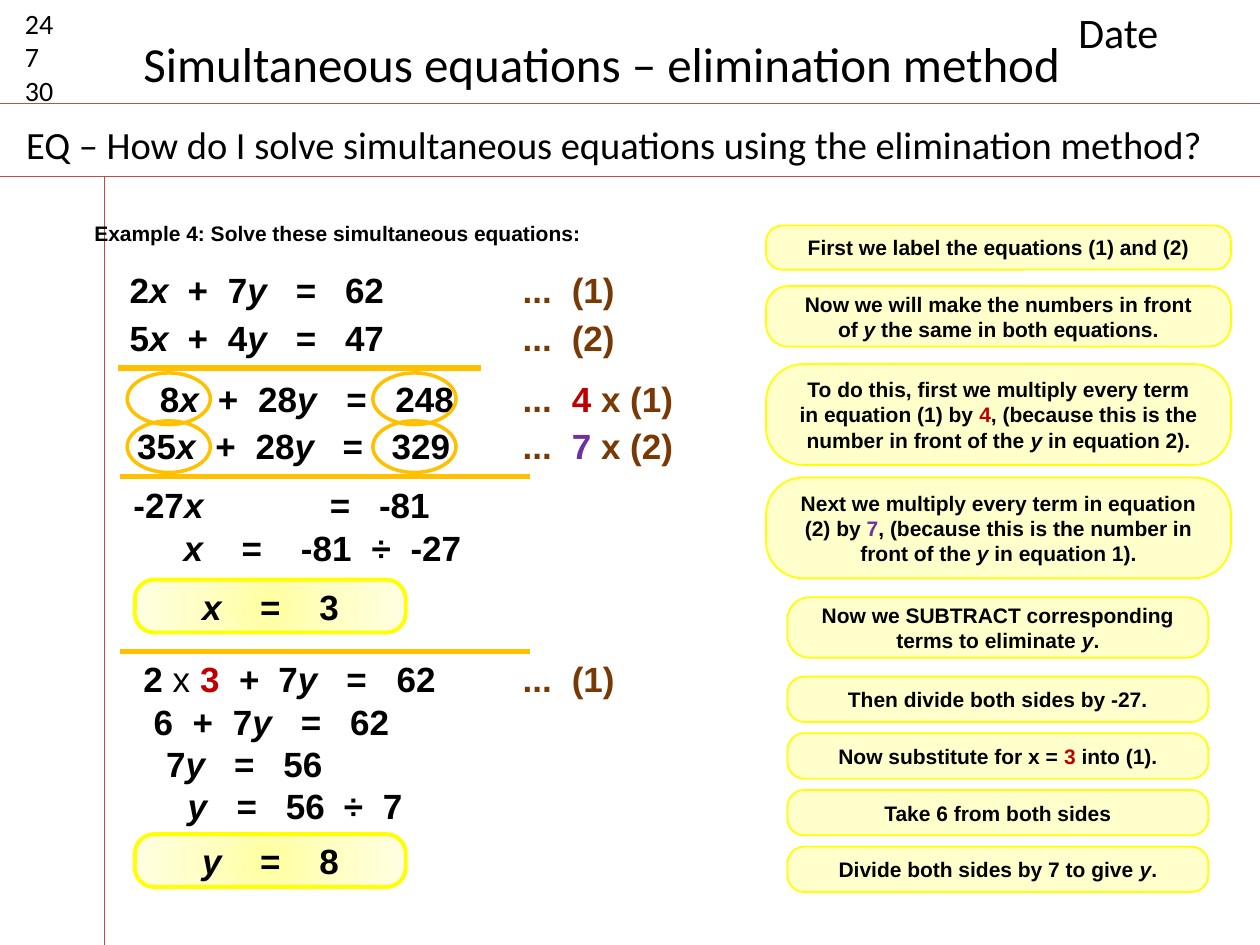
from dataclasses import dataclass
from itertools import product

from lxml import etree
from pptx import Presentation
from pptx.dml.color import RGBColor
from pptx.enum.shapes import MSO_CONNECTOR, MSO_SHAPE
from pptx.enum.text import MSO_ANCHOR, PP_ALIGN
from pptx.oxml import parse_xml
from pptx.oxml.ns import nsdecls, qn
from pptx.util import Pt

STRAIGHT = MSO_CONNECTOR.STRAIGHT
ROUNDED, OVAL = MSO_SHAPE.ROUNDED_RECTANGLE, MSO_SHAPE.OVAL
LEFT, CENTER = PP_ALIGN.LEFT, PP_ALIGN.CENTER
MIDDLE = MSO_ANCHOR.MIDDLE
SCALE = 9144
CORNER = 0.366
CORNER_INSET = 0.29 * CORNER


@dataclass(frozen=True)
class Theme:
    black: str = "000000"
    margin_red: str = "BF4C48"
    amber: str = "FFC000"
    yellow: str = "FFFF00"
    cream: str = "FFFFCC"
    brown: str = "793905"
    red: str = "C00000"
    violet: str = "7030A0"
    glow: tuple = ((0, "FFFFA0"), (50, "FFFFC5"), (100, "FFFFE3"))
    heading_font: str = "Calibri"
    body_font: str = "Arial"
    title: int = 28
    date: int = 24
    question: int = 22
    tally: int = 16
    equation: int = 20
    note: int = 12


THEME = Theme()
X, Y = ("x", "italic"), ("y", "italic")
FOUR, SEVEN, THREE = ("4", "red"), ("7", "violet"), ("3", "red")


def px(value):
    return round(value * SCALE)


def rgb(value):
    return RGBColor.from_string(value)


def write(para, spans, size, font=THEME.body_font, color=THEME.black, bold=True, align=LEFT, stops=()):
    para.alignment = align
    if stops:
        tabs = etree.SubElement(para._p.get_or_add_pPr(), qn("a:tabLst"))
        for stop in stops:
            etree.SubElement(tabs, qn("a:tab"), pos=str(px(stop)), algn="l")
    for item in spans:
        text, style = (item, "") if isinstance(item, str) else item
        span = para.add_run()
        span.text = text
        span.font.name = font
        span.font.size = Pt(size)
        span.font.bold = bold and style != "light"
        span.font.italic = style == "italic"
        span.font.color.rgb = rgb(getattr(THEME, style, color))


def text_box(page, box, lines, size, wrap=True, **format):
    frame = page.shapes.add_textbox(*map(px, box)).text_frame
    frame.word_wrap = wrap
    for index, spans in enumerate(lines):
        para = frame.add_paragraph() if index else frame.paragraphs[0]
        write(para, spans, size, **format)


def rule(page, start, end, color, width):
    line = page.shapes.add_connector(STRAIGHT, *map(px, start + end))
    line.line.color.rgb = rgb(color)
    line.line.width = Pt(width)
    etree.SubElement(line._element.spPr, qn("a:effectLst"))


def outlined(page, kind, box, color, width):
    shape = page.shapes.add_shape(kind, *map(px, box))
    shape.shadow.inherit = False
    shape.fill.background()
    shape.line.color.rgb = rgb(color)
    shape.line.width = Pt(width)
    return shape


def bubble(page, box, line_width, margins, spans, size, **format):
    shape = outlined(page, ROUNDED, box, THEME.yellow, line_width)
    shape.adjustments[0] = CORNER
    frame = shape.text_frame
    frame.word_wrap = True
    frame.vertical_anchor = MIDDLE
    frame.margin_top = frame.margin_bottom = 0
    frame.margin_left, frame.margin_right = map(px, margins)
    write(frame.paragraphs[0], spans, size, **format)
    return shape


def glow(shape):
    stops = "".join(
        f'<a:gs pos="{place * 1000}"><a:srgbClr val="{color}"/></a:gs>' for place, color in THEME.glow)
    gradient = parse_xml(
        f'<a:gradFill {nsdecls("a")} rotWithShape="1"><a:gsLst>{stops}</a:gsLst><a:path path="circle">'
        '<a:fillToRect l="50000" t="50000" r="50000" b="50000"/></a:path></a:gradFill>')
    properties = shape._element.spPr
    properties.replace(properties.find(qn("a:noFill")), gradient)


def header(page, box):
    left, top, width, height = box
    heading = {"font": THEME.heading_font, "bold": False}
    for y in (82, height):
        rule(page, (left, top + y), (left + width, top + y), THEME.margin_red, 0.75)
    rule(page, (left + 83, top + height), (left + 83, 750), THEME.margin_red, 0.75)
    text_box(page, (left + 10, top, 63, 91), [["24"], ["7"], ["30"]], THEME.tally, **heading)
    text_box(page, (left + 846, top, 154, 50), [["Date"]], THEME.date, **heading)
    text_box(page, (left + 11, top + 91, 987, 47),
             [["EQ – How do I solve simultaneous equations using the elimination method?"]],
             THEME.question, **heading)
    text_box(page, (left + 104, top + 22, 756, 57),
             [["Simultaneous equations – elimination method"]], THEME.title, wrap=False, **heading)


def working(page, box):
    left, top, width, height = box
    text_box(page, (left - 40, top, 436, 30),
             [["Example 4: Solve these simultaneous equations:"]], THEME.note, align=CENTER)
    equations = [
        (3, 38, (46, 78, 132, 171), ["2", X, "\t+\t7", Y, "\t=\t62"]),
        (3, 76, (46, 78, 132, 171), ["5", X, "\t+\t4", Y, "\t=\t47"]),
        (27, 125, (46, 78, 148, 187), ["8", X, "\t+\t28", Y, "\t=\t248"]),
        (9, 162, (62, 94, 163, 202), ["35", X, "\t+\t28", Y, "\t=\t329"]),
        (6, 209, (156, 195), ["-27", X, "\t=\t-81"]),
        (46, 243, (46, 93, 149, 180), [X, "\t=\t-81\t÷\t-27"]),
        (14, 347, (76, 107, 161, 201), ["2 ", ("x ", "light"), THREE, "\t+\t7", Y, "\t=\t62"]),
        (22, 381, (31, 63, 117, 156), ["6\t+\t7", Y, "\t=\t62"]),
        (32, 414, (54, 93), ["7", Y, "\t=\t56"]),
        (49, 448, (39, 78, 124, 155), [Y, "\t=\t56\t÷\t7"]),
    ]
    for x, y, stops, spans in equations:
        text_box(page, (left + x, top + y, 335, 44), [spans], THEME.equation, stops=stops)
    labels = [(38, ["...\t(1)"]), (76, ["...\t(2)"]), (125, ["...\t", FOUR, " x (1)"]),
              (162, ["...\t", SEVEN, " x (2)"]), (347, ["...\t(1)"])]
    for y, spans in labels:
        text_box(page, (left + 315, top + y, 153, 44), [spans], THEME.equation,
                 color=THEME.brown, stops=(39,))
    for x, end, y in ((4, 292, 122), (5, 331, 208), (5, 331, 347)):
        rule(page, (left + x, top + y), (left + end, top + y), THEME.amber, 3)
    for y, letter, value in ((290, X, "3"), (492, Y, "8")):
        glow(bubble(page, (left + 17, top + y, 215, 42), 2.25, (49, 0),
                    [letter, f"\t=\t{value}"], THEME.equation, stops=(46, 93)))
    for x, y in product((11, 206), (126, 164)):
        outlined(page, OVAL, (left + x, top + y, 66, 41), THEME.amber, 2)


def notes_column(page, box):
    left, top, width, height = box
    wide, narrow = (0, width, 320), (17, width - 35, 290)
    notes = [
        (wide, 0, 35, ["First we label the equations (1) and (2)"]),
        (wide, 48, 48, ["Now we will make the numbers in front of ", Y, " the same in both equations."]),
        (wide, 110, 80, ["To do this, first we multiply every term in equation (1) by ", FOUR,
                         ", (because this is the number in front of the ", Y, " in equation 2)."]),
        (wide, 200, 80, ["Next we multiply every term in equation (2) by ", SEVEN,
                         ", (because this is the number in front of the ", Y, " in equation 1)."]),
        (narrow, 295, 48, ["Now we SUBTRACT corresponding terms to eliminate ", Y, "."]),
    ]
    steps = [["Then divide both sides by -27."],
             ["Now substitute for x = ", THREE, " into (1)."],
             ["Take 6 from both sides"],
             ["Divide both sides by 7 to give ", Y, "."]]
    notes += [(narrow, 358 + 45 * index, 36, spans) for index, spans in enumerate(steps)]
    for (x, note_width, text_width), y, note_height, spans in notes:
        margin = (note_width - text_width) / 2 - CORNER_INSET * note_height
        note = bubble(page, (left + x, top + y, note_width, note_height), 1, (margin, margin),
                      spans, THEME.note, align=CENTER)
        note.fill.solid()
        note.fill.fore_color.rgb = rgb(THEME.cream)


def main():
    deck = Presentation()
    deck.slide_width, deck.slide_height = px(1000), px(750)
    page = deck.slides.add_slide(deck.slide_layouts[6])
    header(page, (0, 0, 1000, 140))
    working(page, (90, 170, 468, 534))
    notes_column(page, (608, 179, 369, 529))
    deck.save("out.pptx")


if __name__ == "__main__":
    main()
